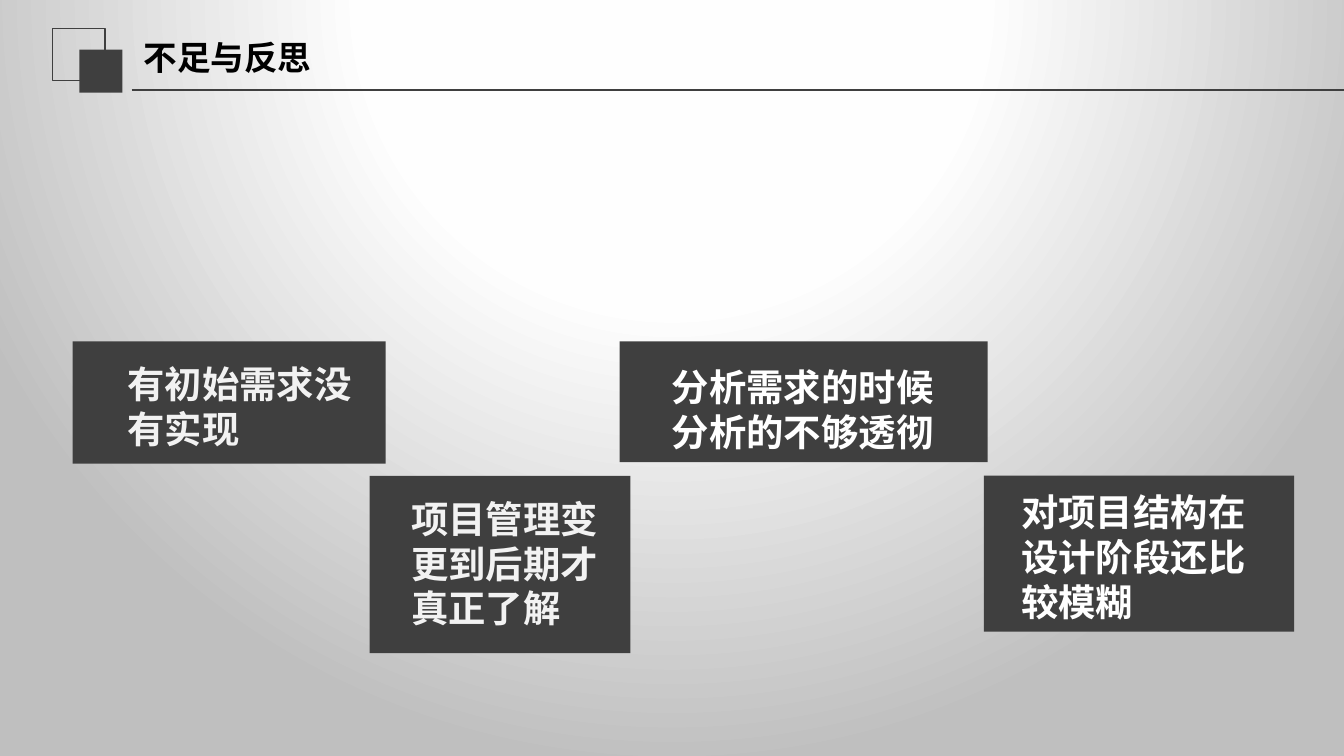
import pptx
import pptx.util
import pptx.oxml
import pptx.oxml.ns
import pptx.dml.color
import pptx.enum.dml
import pptx.enum.shapes
import pptx.enum.text
import pptx.enum.lang
from lxml import etree

Inches = pptx.util.Inches
Pt = pptx.util.Pt
RGBColor = pptx.dml.color.RGBColor
RECT = pptx.enum.shapes.MSO_SHAPE.RECTANGLE
ANCHOR = pptx.enum.text.MSO_ANCHOR
qn = pptx.oxml.ns.qn

DARK = RGBColor(0x3F, 0x3F, 0x3F)
BLACK = RGBColor(0, 0, 0)
WHITE = RGBColor(0xFF, 0xFF, 0xFF)
PALE = RGBColor(0xF2, 0xF2, 0xF2)
CJK = "Noto Sans CJK SC"

WIDE = 10
HIGH = WIDE * 9 / 16
TITLE = "不足与反思"
CARDS = [
    ("分析需求的时候分析的不够透彻", WHITE, (4.61, 2.54, 2.74, 0.9), (4.9, 2.66, 2.33, 0.77)),
    ("有初始需求没有实现", PALE, (0.54, 2.54, 2.33, 0.91), (0.85, 2.64, 1.9, 0.77)),
    ("项目管理变更到后期才真正了解", PALE, (2.75, 3.54, 1.94, 1.32), (2.96, 3.64, 1.65, 1.11)),
    ("对项目结构在设计阶段还比较模糊", WHITE, (7.32, 3.54, 2.31, 1.16), (7.5, 3.59, 1.96, 1.11)),
]
STOPS = [(0, "FFFFFF"), (40, "FEFEFE"), (100, "BFBFBF")]


def paint(slide):
    stops = "".join(
        f'<a:gs pos="{pos * 1000}"><a:srgbClr val="{tone}"/></a:gs>' for pos, tone in STOPS)
    back = pptx.oxml.parse_xml(
        f'<p:bg {pptx.oxml.ns.nsdecls("p", "a")}><p:bgPr>'
        f'<a:gradFill rotWithShape="1"><a:gsLst>{stops}</a:gsLst>'
        '<a:path path="circle"><a:fillToRect l="50000" t="-80000" r="50000" b="180000"/></a:path>'
        '</a:gradFill><a:effectLst/></p:bgPr></p:bg>')
    slide.element.find(qn("p:cSld")).insert(0, back)


def add_box(shapes, place, solid=True):
    box = shapes.add_shape(RECT, *map(Inches, place))
    box.shadow.inherit = False
    if solid:
        box.fill.solid()
        box.fill.fore_color.rgb = DARK
        box.line.fill.background()
    else:
        box.fill.background()
        box.line.color.rgb = DARK
        box.line.width = Pt(0.75)


def add_text(shapes, text, place, size, color, face, anchor=ANCHOR.TOP):
    frame = shapes.add_textbox(*map(Inches, place)).text_frame
    frame.word_wrap = True
    frame.vertical_anchor = anchor
    frame.text = text
    run = frame.paragraphs[0].runs[0]
    font = run.font
    font.size = Pt(size)
    font.bold = True
    font.color.rgb = color
    font.name = face
    font.language_id = pptx.enum.lang.MSO_LANGUAGE_ID.SIMPLIFIED_CHINESE
    etree.SubElement(run._r.get_or_add_rPr(), qn("a:ea")).set("typeface", CJK)


def main():
    deck = pptx.Presentation()
    deck.slide_width, deck.slide_height = Inches(WIDE), Inches(HIGH)
    slide = deck.slides.add_slide(deck.slide_layouts[6])
    shapes = slide.shapes
    paint(slide)

    add_box(shapes, (0.39, 0.21, 0.39, 0.39), solid=False)
    add_box(shapes, (0.59, 0.37, 0.32, 0.32))
    rule = shapes.add_connector(
        pptx.enum.shapes.MSO_CONNECTOR.STRAIGHT,
        Inches(0.98), Inches(0.67), Inches(WIDE), Inches(0.67))
    rule.line.color.rgb = DARK
    rule.line.width = Pt(1.25)
    etree.SubElement(rule._element.spPr, qn("a:effectLst"))
    add_text(shapes, TITLE, (0.97, 0.21, 3.56, 0.43), 18, BLACK, "Calibri", ANCHOR.MIDDLE)

    for text, color, panel, area in CARDS:
        group = shapes.add_group_shape()
        add_box(group.shapes, panel)
        add_text(group.shapes, text, area, 20, color, CJK)

    deck.save("out.pptx")


if __name__ == "__main__":
    main()
